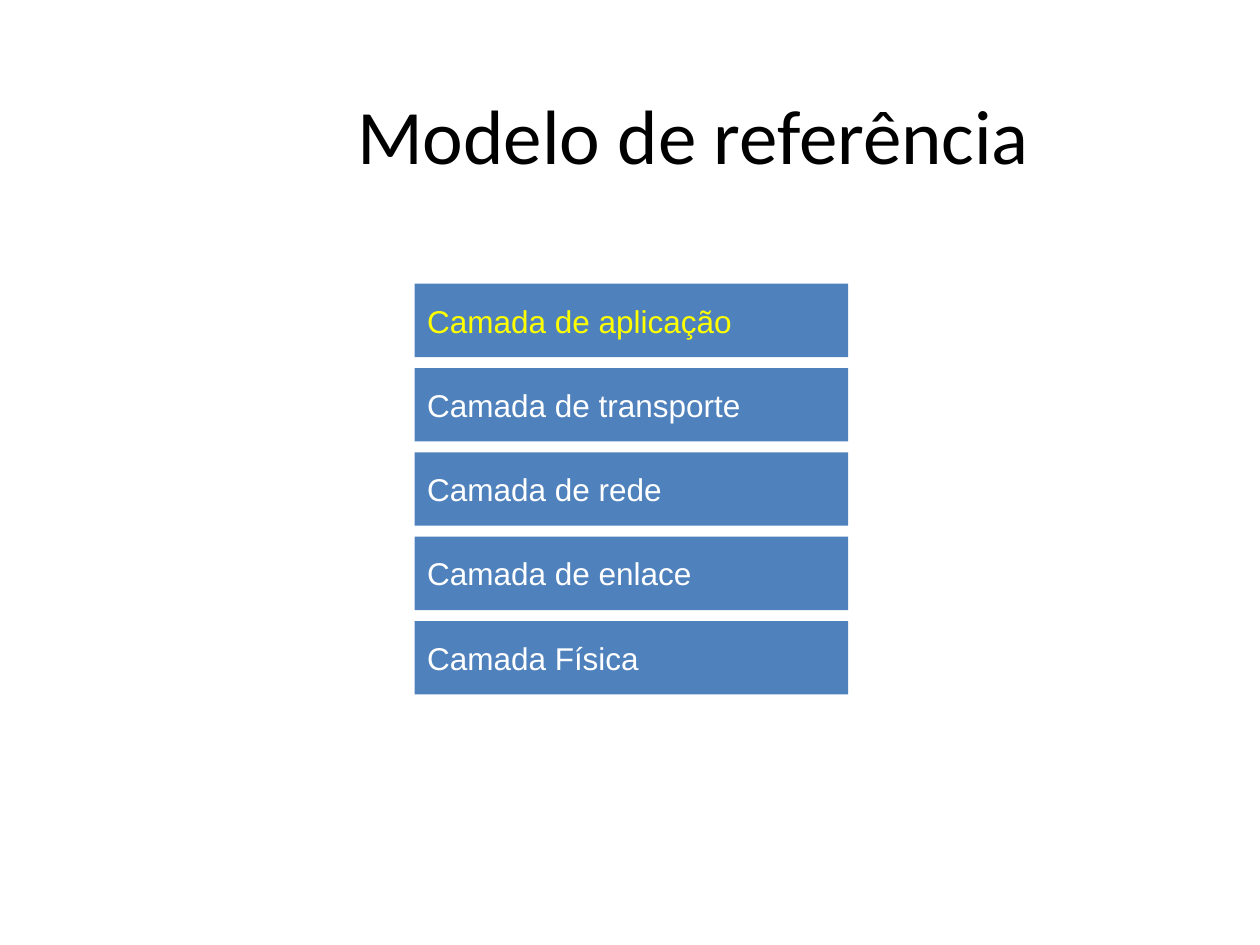
from pptx import Presentation
from pptx.dml.color import RGBColor
from pptx.enum.shapes import MSO_SHAPE
from pptx.enum.text import MSO_ANCHOR, PP_ALIGN
from pptx.util import Cm, Pt

COLORS = {"title": "000000", "layer": "4F81BD", "text": "FFFFFF", "highlight": "FFFF00"}


def add_text(paragraph, text, font_name, size, color):
    run = paragraph.add_run()
    run.text = text
    run.font.name = font_name
    run.font.size = Pt(size)
    run.font.color.rgb = RGBColor.from_string(COLORS[color])


presentation = Presentation()
presentation.slide_width = Cm(25.4)
presentation.slide_height = Cm(19.05)
slide = presentation.slides.add_slide(presentation.slide_layouts[5])

title = slide.shapes.title
title.left, title.top, title.width, title.height = Cm(2.97), Cm(0.64), Cm(22.02), Cm(3.38)
title.text_frame.word_wrap = True
title.text_frame.vertical_anchor = MSO_ANCHOR.MIDDLE
title_paragraph = title.text_frame.paragraphs[0]
title_paragraph.alignment = PP_ALIGN.CENTER
title_paragraph.line_spacing = 1.4
add_text(title_paragraph, "Modelo de referência", "Calibri", 44, "title")

layers = [
    ("Camada de aplicação", "highlight"),
    ("Camada de transporte", "text"),
    ("Camada de rede", "text"),
    ("Camada de enlace", "text"),
    ("Camada Física", "text"),
]
first_top, pitch = 5.72, 1.7
for index, (name, color) in enumerate(layers):
    layer = slide.shapes.add_shape(
        MSO_SHAPE.RECTANGLE, Cm(8.36), Cm(first_top + index * pitch), Cm(8.74), Cm(1.48)
    )
    layer.shadow.inherit = False
    layer.fill.solid()
    layer.fill.fore_color.rgb = RGBColor.from_string(COLORS["layer"])
    layer.line.fill.background()
    layer.text_frame.word_wrap = False
    layer.text_frame.vertical_anchor = MSO_ANCHOR.MIDDLE
    paragraph = layer.text_frame.paragraphs[0]
    paragraph.alignment = PP_ALIGN.LEFT
    add_text(paragraph, name, "Arial", 18, color)

presentation.save("out.pptx")
